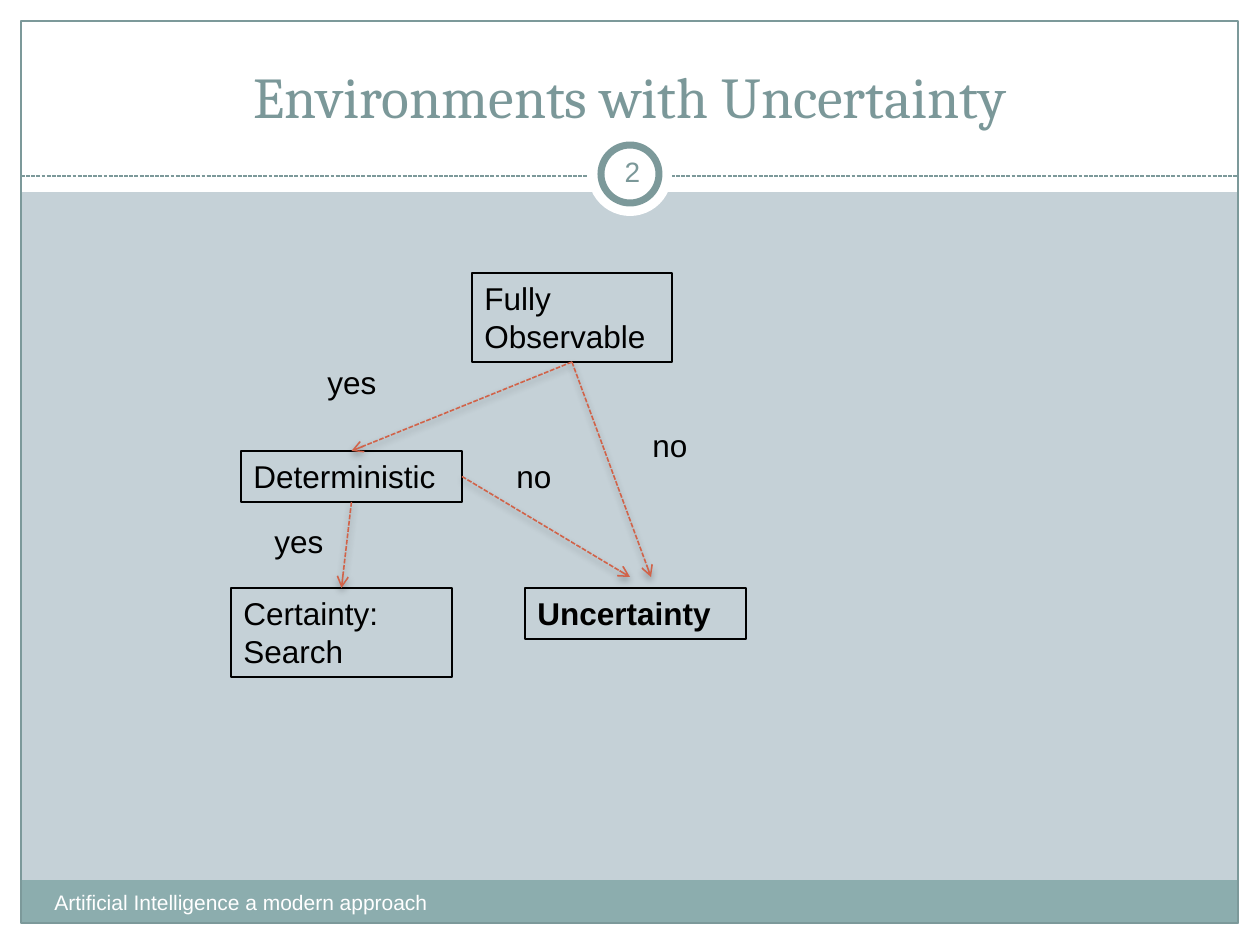
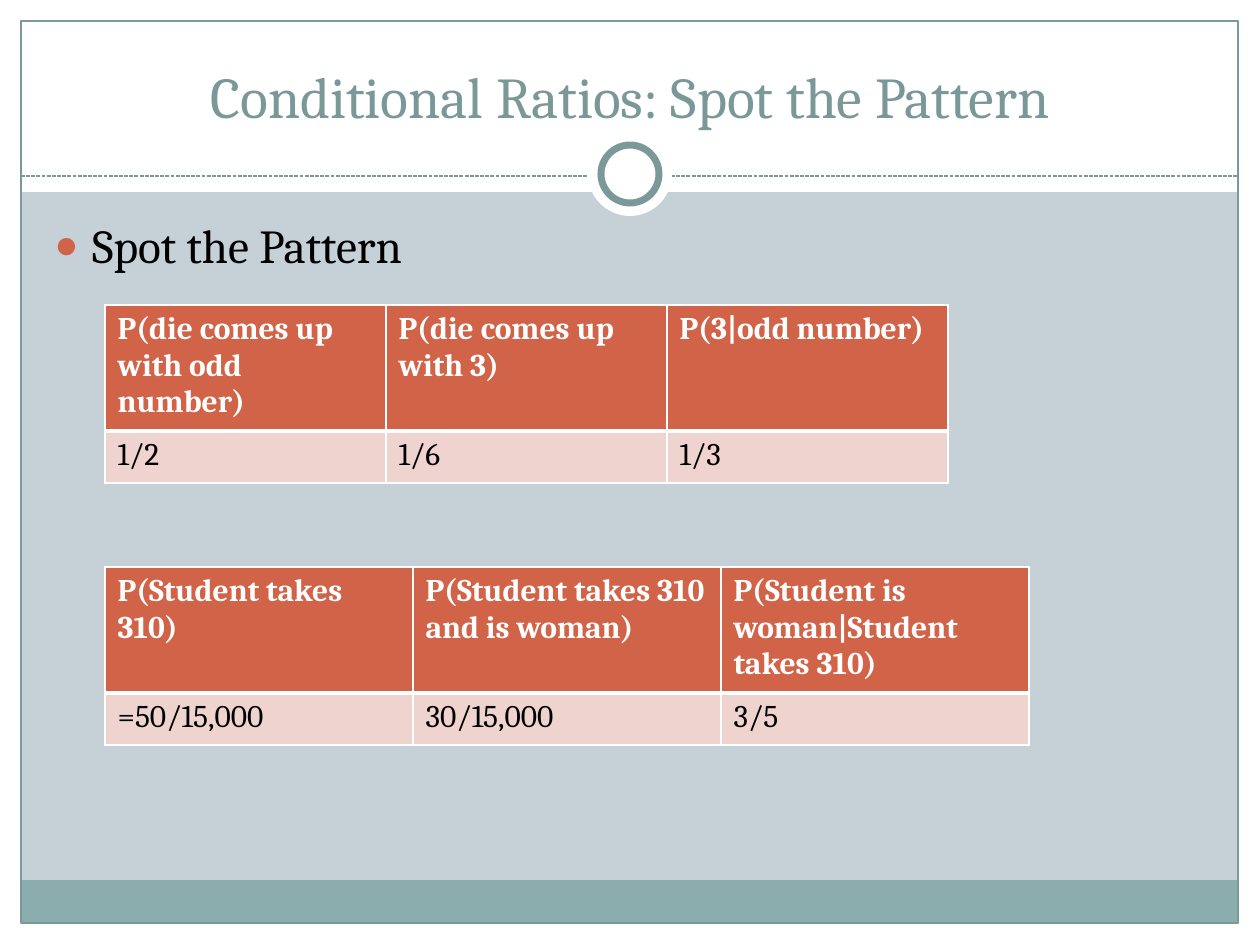
"""Build two slides on uncertainty: a decision diagram and two tables of conditional ratios."""

import dataclasses

import lxml.etree
import pptx
import pptx.dml.color
import pptx.enum.dml
import pptx.enum.shapes
import pptx.enum.text
import pptx.oxml.ns
import pptx.util

EMU_PER_PX = 914400 / 126
SHAPE = pptx.enum.shapes.MSO_SHAPE
ALIGN = pptx.enum.text.PP_ALIGN
ANCHOR = pptx.enum.text.MSO_ANCHOR
qn = pptx.oxml.ns.qn


@dataclasses.dataclass(frozen=True)
class Theme:
    background: str = "C5D1D7"
    white: str = "FFFFFF"
    black: str = "000000"
    frame: str = "7C999A"
    title: str = "7B9899"
    footer_band: str = "8CADAE"
    accent: str = "D16349"
    accent_pale: str = "EED3CF"
    serif: str = "Cambria"
    sans: str = "Arial"
    title_size: int = 33
    body_size: int = 27
    text_size: int = 18
    number_size: int = 16
    footer_size: int = 12


THEME = Theme()
rgb = pptx.dml.color.RGBColor.from_string


def add_box(slide, box, kind=None, fill=None, outline=None, weight=0.75, text="", font=THEME.sans,
            size=THEME.text_size, color=THEME.black, bold=False, align=ALIGN.LEFT, anchor=ANCHOR.TOP):
    lengths = [round(px * EMU_PER_PX) for px in box]
    if kind is None:
        shape = slide.shapes.add_textbox(*lengths)
    else:
        shape = slide.shapes.add_shape(kind, *lengths)
        shape.shadow.inherit = False
    if fill:
        shape.fill.solid()
        shape.fill.fore_color.rgb = rgb(fill)
    else:
        shape.fill.background()
    if outline:
        shape.line.color.rgb = rgb(outline)
        shape.line.width = pptx.util.Pt(weight)
    else:
        shape.line.fill.background()
    if text:
        frame = shape.text_frame
        frame.word_wrap = True
        frame.vertical_anchor = anchor
        paragraph = frame.paragraphs[0]
        paragraph.alignment = align
        run = paragraph.add_run()
        run.text = text
        run.font.name = font
        run.font.size = pptx.util.Pt(size)
        run.font.bold = bold
        run.font.color.rgb = rgb(color)
    return shape


def add_dashed_line(slide, start, end, color, weight):
    lengths = [round(px * EMU_PER_PX) for px in (*start, *end)]
    line = slide.shapes.add_connector(pptx.enum.shapes.MSO_CONNECTOR.STRAIGHT, *lengths)
    line.line.color.rgb = rgb(color)
    line.line.width = pptx.util.Pt(weight)
    line.line.dash_style = pptx.enum.dml.MSO_LINE.SQUARE_DOT
    effects = lxml.etree.SubElement(line._element.spPr, qn("a:effectLst"))
    return line, effects


presentation = pptx.Presentation()
presentation.slide_width = round(1260 * EMU_PER_PX)
presentation.slide_height = round(945 * EMU_PER_PX)

slides = []
for title in ("Environments with Uncertainty", "Conditional Ratios: Spot the Pattern"):
    slide = presentation.slides.add_slide(presentation.slide_layouts[6])
    slide.background.fill.solid()
    slide.background.fill.fore_color.rgb = rgb(THEME.background)
    for margin in ((0, 924, 1260, 21), (0, 0, 1260, 192), (0, 0, 21, 945), (1239, 0, 21, 945)):
        add_box(slide, margin, SHAPE.RECTANGLE, THEME.white)
    add_box(slide, (21, 880, 1217, 44), SHAPE.RECTANGLE, THEME.footer_band)
    add_box(slide, (21, 21, 1217, 902), SHAPE.RECTANGLE, outline=THEME.frame)
    add_dashed_line(slide, (21, 176), (1239, 176), THEME.frame, 0.75)
    add_box(slide, (588, 132, 84, 84), SHAPE.OVAL, THEME.white)
    add_box(slide, (601, 145, 58, 58), SHAPE.OVAL, THEME.white, THEME.frame, 4)
    add_box(slide, (42, 31, 1176, 105), text=title, font=THEME.serif, size=THEME.title_size,
            color=THEME.title, align=ALIGN.CENTER, anchor=ANCHOR.BOTTOM)
    slides.append(slide)
diagram_slide, ratio_slide = slides

add_box(diagram_slide, (42, 883, 494, 50), text="Artificial Intelligence a modern approach",
        size=THEME.footer_size, color=THEME.white)
number = add_box(diagram_slide, (601, 141, 63, 60), text="2", size=THEME.number_size,
                 color=THEME.title, align=ALIGN.CENTER, anchor=ANCHOR.MIDDLE)
number.text_frame.margin_left = number.text_frame.margin_right = pptx.util.Inches(0.05)

nodes = {}
for text, box in (
    ("Fully Observable", (472, 273, 200, 89)),
    ("Deterministic", (241, 451, 221, 51)),
    ("Certainty: Search", (231, 588, 221, 89)),
    ("Uncertainty", (525, 588, 221, 51)),
):
    nodes[text] = add_box(diagram_slide, box, SHAPE.RECTANGLE, outline=THEME.black, text=text,
                          bold=text == "Uncertainty")

TOP, BOTTOM, RIGHT = 0, 2, 3
for source, side, target, end in (
    ("Fully Observable", BOTTOM, "Deterministic", (352, 451)),
    ("Deterministic", BOTTOM, "Certainty: Search", (342, 588)),
    ("Deterministic", RIGHT, None, (630, 577)),
    ("Fully Observable", BOTTOM, None, (651, 577)),
):
    arrow, effects = add_dashed_line(diagram_slide, (0, 0), end, THEME.accent, 0.9)
    arrow.begin_connect(nodes[source], side)
    if target:
        arrow.end_connect(nodes[target], TOP)
    lxml.etree.SubElement(arrow.line._get_or_add_ln(), qn("a:tailEnd"), type="arrow")
    shadow = lxml.etree.SubElement(effects, qn("a:outerShdw"), blurRad="50800", dist="25400",
                                   dir="5400000", rotWithShape="0")
    shadow_color = lxml.etree.SubElement(shadow, qn("a:srgbClr"), val=THEME.black)
    lxml.etree.SubElement(shadow_color, qn("a:alpha"), val="35000")

for answer, box in (
    ("no", (640, 420, 73, 51)),
    ("yes", (315, 357, 116, 51)),
    ("yes", (262, 516, 116, 51)),
    ("no", (504, 451, 73, 51)),
):
    add_box(diagram_slide, box, text=answer)

body = add_box(ratio_slide, (42, 210, 1172, 95), text="Spot the Pattern", font=THEME.serif,
               size=THEME.body_size)
paragraph = body.text_frame.paragraphs[0]
paragraph.space_before = pptx.util.Pt(5)
properties = paragraph._p.get_or_add_pPr()
properties.set("marL", str(pptx.util.Inches(0.3)))
properties.set("indent", str(-pptx.util.Inches(0.3)))
bullet_color = lxml.etree.SubElement(properties, qn("a:buClr"))
lxml.etree.SubElement(bullet_color, qn("a:srgbClr"), val=THEME.accent)
lxml.etree.SubElement(properties, qn("a:buSzPct"), val="85000")
lxml.etree.SubElement(properties, qn("a:buFont"), typeface=THEME.sans)
lxml.etree.SubElement(properties, qn("a:buChar"), char="●")

row_heights = (126, 52)
row_styles = ((THEME.accent, THEME.white, True), (THEME.accent_pale, THEME.black, False))
row_borders = ({"L": 1, "R": 1, "T": 1, "B": 3}, {"L": 1, "R": 1, "T": 3, "B": 1})
for top, column_width, rows in (
    (567, 308, (
        ("P(Student takes 310)", "P(Student takes 310 and is woman)",
         "P(Student is woman|Student takes 310)"),
        ("=50/15,000", "30/15,000", "3/5"),
    )),
    (305, 281, (
        ("P(die comes up with odd number)", "P(die comes up with 3)", "P(3|odd number)"),
        ("1/2", "1/6", "1/3"),
    )),
):
    box = (105, top, 3 * column_width, sum(row_heights))
    table = ratio_slide.shapes.add_table(2, 3, *[round(px * EMU_PER_PX) for px in box]).table
    table.horz_banding = False
    for column in table.columns:
        column.width = round(column_width * EMU_PER_PX)
    for row, height, texts, style, borders in zip(table.rows, row_heights, rows, row_styles, row_borders):
        row.height = round(height * EMU_PER_PX)
        fill, color, bold = style
        for cell, text in zip(row.cells, texts):
            cell_properties = cell._tc.get_or_add_tcPr()
            for side, weight in borders.items():
                border = lxml.etree.SubElement(cell_properties, qn(f"a:ln{side}"),
                                               w=str(pptx.util.Pt(weight)))
                border_fill = lxml.etree.SubElement(border, qn("a:solidFill"))
                lxml.etree.SubElement(border_fill, qn("a:srgbClr"), val=THEME.white)
            cell.fill.solid()
            cell.fill.fore_color.rgb = rgb(fill)
            run = cell.text_frame.paragraphs[0].add_run()
            run.text = text
            run.font.name = THEME.serif
            run.font.size = pptx.util.Pt(THEME.text_size)
            run.font.bold = bold
            run.font.color.rgb = rgb(color)

presentation.save("out.pptx")
